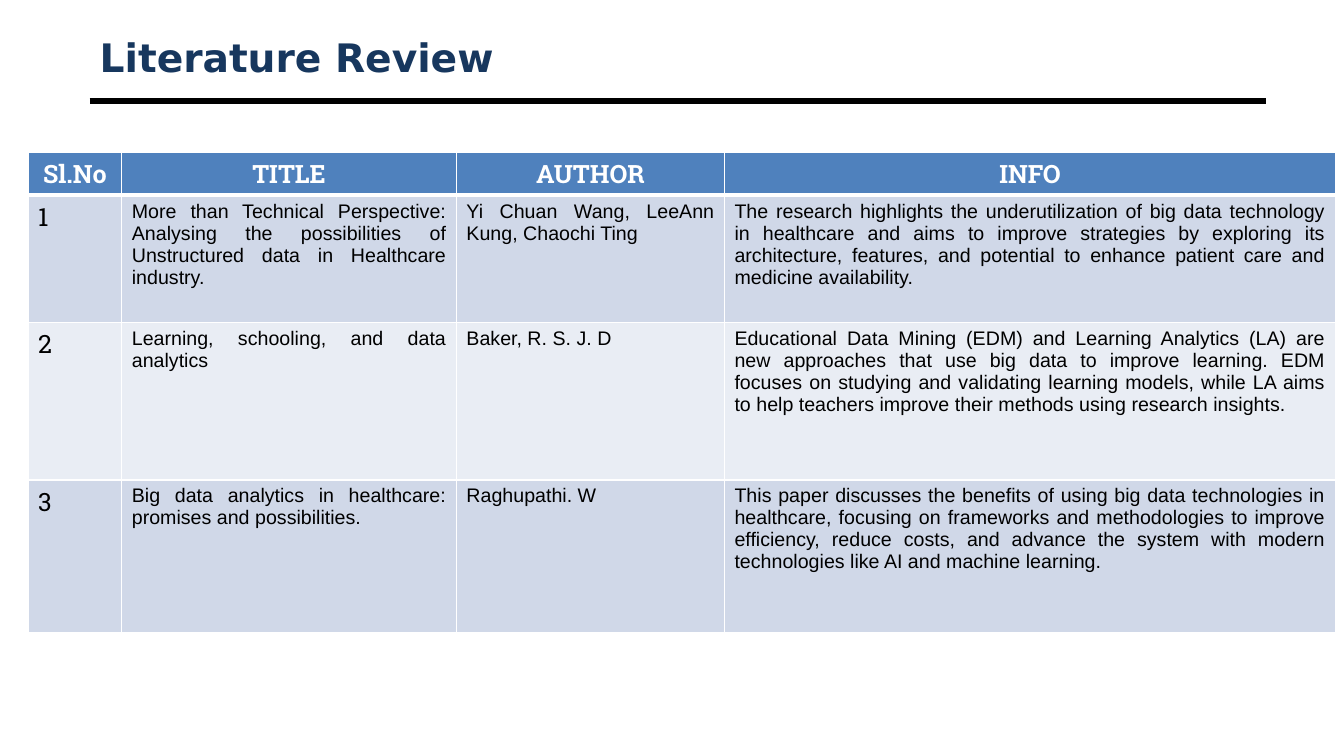
from dataclasses import astuple, dataclass

from lxml.etree import SubElement
from pptx import Presentation
from pptx.dml.color import RGBColor
from pptx.enum.shapes import MSO_CONNECTOR
from pptx.enum.text import MSO_ANCHOR, PP_ALIGN
from pptx.oxml.ns import qn
from pptx.slide import Slide
from pptx.table import _Cell as Cell
from pptx.text.text import TextFrame
from pptx.util import Pt

NAVY, BLUE, WHITE, BLACK = "17375E", "4F81BD", "FFFFFF", "000000"
BANDS = ("D0D8E8", "E9EDF4")
COL_WIDTHS = (67, 239, 191.5, 436.5)
ROW_HEIGHTS = (30, 90.8, 112.5, 109)
BORDERS = {"a:lnL": 1, "a:lnR": 1, "a:lnT": 1, "a:lnB": 3}


@dataclass
class Paper:
    number: str
    title: str
    author: str
    info: str


@dataclass
class TextStyle:
    font: str
    size: float
    color: str
    bold: bool
    align: PP_ALIGN


TITLE = TextStyle("DejaVu Sans", 28, NAVY, True, PP_ALIGN.LEFT)
HEADER = TextStyle("Roboto Slab", 18, WHITE, True, PP_ALIGN.CENTER)
NUMBER = TextStyle("Roboto Slab", 18, BLACK, False, PP_ALIGN.LEFT)
BODY = TextStyle("Arial", 14, BLACK, False, PP_ALIGN.JUSTIFY)

HEADINGS = Paper("Sl.No", "TITLE", "AUTHOR", "INFO")
PAPERS = [
    Paper("1",
          "More than Technical Perspective: Analysing the possibilities of "
          "Unstructured data in Healthcare industry.",
          "Yi Chuan Wang, LeeAnn Kung, Chaochi Ting ",
          "The research highlights the underutilization of big data technology in "
          "healthcare and aims to improve strategies by exploring its architecture, "
          "features, and potential to enhance patient care and medicine availability."),
    Paper("2",
          "Learning, schooling, and data analytics",
          "Baker, R. S. J. D",
          "Educational Data Mining (EDM) and Learning Analytics (LA) are new "
          "approaches that use big data to improve learning. EDM focuses on studying "
          "and validating learning models, while LA aims to help teachers improve "
          "their methods using research insights."),
    Paper("3",
          "Big data analytics in healthcare: promises and possibilities.",
          "Raghupathi. W ",
          "This paper discusses the benefits of using big data technologies in "
          "healthcare, focusing on frameworks and methodologies to improve "
          "efficiency, reduce costs, and advance the system with modern "
          "technologies like AI and machine learning."),
]


def rgb(color: str) -> RGBColor:
    return RGBColor.from_string(color)


def write(tf: TextFrame, text: str, style: TextStyle) -> None:
    tf.text = text
    p = tf.paragraphs[0]
    p.alignment = style.align
    font = p.runs[0].font
    font.name, font.size, font.bold = style.font, Pt(style.size), style.bold
    font.color.rgb = rgb(style.color)


def add_borders(cell: Cell) -> None:
    """Add white cell borders; call before filling, as the schema orders them."""
    tc_pr = cell._tc.get_or_add_tcPr()
    for tag, width in BORDERS.items():
        ln = SubElement(tc_pr, qn(tag), w=str(Pt(width)))
        fill = SubElement(ln, qn("a:solidFill"))
        SubElement(fill, qn("a:srgbClr"), val=WHITE)


def add_title(s: Slide, text: str) -> None:
    sp = s.shapes.title
    sp.left, sp.top, sp.width, sp.height = Pt(64), Pt(21.6), Pt(840), Pt(38)
    tf = sp.text_frame
    tf.word_wrap, tf.vertical_anchor = True, MSO_ANCHOR.MIDDLE
    write(tf, text, TITLE)


def add_rule(s: Slide) -> None:
    rule = s.shapes.add_connector(
        MSO_CONNECTOR.STRAIGHT, Pt(64), Pt(72), Pt(904), Pt(72))
    rule.line.color.rgb = rgb(BLACK)
    rule.line.width = Pt(4.5)
    SubElement(rule._element.spPr, qn("a:effectLst"))


def add_review_table(s: Slide) -> None:
    rows = [HEADINGS, *PAPERS]
    table = s.shapes.add_table(
        len(rows), len(COL_WIDTHS), Pt(20), Pt(108.5),
        Pt(sum(COL_WIDTHS)), Pt(sum(ROW_HEIGHTS))).table
    for col, width in zip(table.columns, COL_WIDTHS):
        col.width = Pt(width)
    for i, (row, height, paper) in enumerate(zip(table.rows, ROW_HEIGHTS, rows)):
        row.height = Pt(height)
        for j, (cell, text) in enumerate(zip(row.cells, astuple(paper))):
            if i == 0:
                add_borders(cell)
                style, color = HEADER, BLUE
            else:
                style, color = BODY if j else NUMBER, BANDS[(i - 1) % 2]
            cell.fill.solid()
            cell.fill.fore_color.rgb = rgb(color)
            write(cell.text_frame, text, style)


def main() -> None:
    prs = Presentation()
    prs.slide_width, prs.slide_height = Pt(960), Pt(540)
    s = prs.slides.add_slide(prs.slide_layouts.get_by_name("Title Only"))
    add_rule(s)
    add_title(s, "Literature Review")
    add_review_table(s)
    prs.save("out.pptx")


if __name__ == "__main__":
    main()
